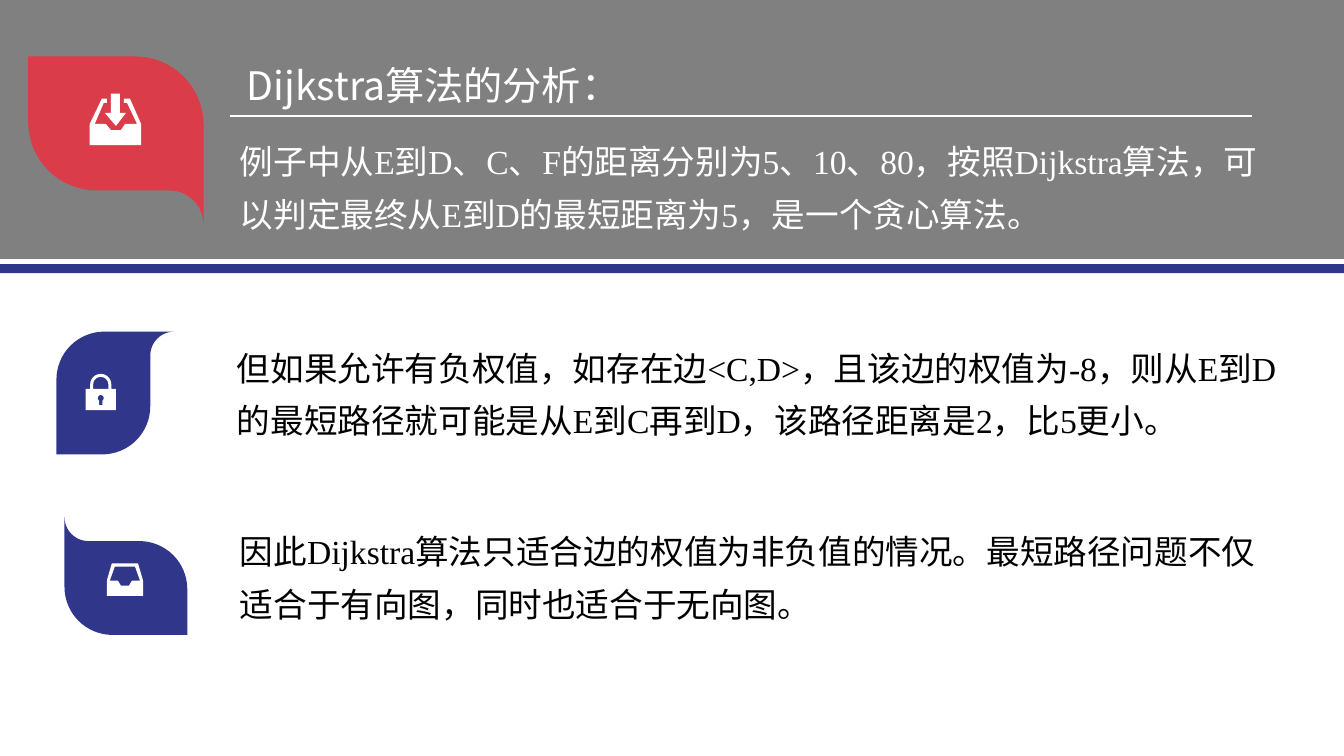
import math

import lxml.etree
import pptx
import pptx.dml.color
import pptx.enum.shapes
import pptx.enum.text
import pptx.oxml.ns
import pptx.util

SLIDE_WIDTH = pptx.util.Inches(13.333)
SLIDE_HEIGHT = pptx.util.Inches(7.5)
CELL = SLIDE_HEIGHT / 75
COLUMNS = SLIDE_WIDTH / CELL

GREY, BLUE, RED = "808080", "303689", "DA3C49"
WHITE, BLACK = "FFFFFF", "000000"
SANS, SERIF = "Noto Sans CJK SC", "Times New Roman"

HEADING = "Dijkstra算法的分析："
EXAMPLE = "例子中从E到D、C、F的距离分别为5、10、80，按照Dijkstra算法，可以判定最终从E到D的最短距离为5，是一个贪心算法。"
NEGATIVE_EDGE = "但如果允许有负权值，如存在边<C,D>，且该边的权值为-8，则从E到D的最短路径就可能是从E到C再到D，该路径距离是2，比5更小。"
CONCLUSION = "因此Dijkstra算法只适合边的权值为非负值的情况。最短路径问题不仅适合于有向图，同时也适合于无向图。"


def cells(*counts):
    return [pptx.util.Emu(round(count * CELL)) for count in counts]


def color(hex_string):
    return pptx.dml.color.RGBColor.from_string(hex_string)


def paint(shape, fill):
    shape.shadow.inherit = False
    shape.fill.solid()
    shape.fill.fore_color.rgb = color(fill)
    shape.line.fill.background()


def arc(x, y, radius, start, end, steps=16):
    angles = [math.radians(start + (end - start) * i / steps) for i in range(steps + 1)]
    return [(x + radius * math.cos(a), y + radius * math.sin(a)) for a in angles]


LEAF_WIDTH, LEAF_HEIGHT = 17.4, 16.7
LEAF = [(0, 0), *arc(10.6, 6.8, 6.8, -90, 0), *arc(14, 16.7, 3.4, 0, -90),
        *arc(6.8, 6.5, 6.8, 90, 180)]
DOWNLOAD = [
    [(3, 1.9), (3, 0), (2.1, 0), (2.1, 1.9), (1.5, 1.9), (2.6, 3.2), (3.6, 1.9)],
    [(4, 0.5), (3.4, 0.5), (3.4, 0.9), (3.7, 0.9), (4.7, 3), (3.5, 3), (3.1, 3.6),
     (2.1, 3.6), (1.6, 3), (0.5, 3), (1.4, 0.9), (1.7, 0.9), (1.7, 0.5), (1.2, 0.5),
     (0, 3), (0, 5.1), (5.1, 5.1), (5.1, 3)],
]
LOCK = [
    [(0, 3.6), (0, 1.5), (0.45, 1.5), *arc(1.5, 1.05, 1.05, 180, 360),
     (2.55, 1.5), (3, 1.5), (3, 3.6)],
    [(0.75, 1.5), *arc(1.5, 1.05, 0.75, 180, 360), (2.25, 1.5)],
    [(1.35, 3.1), *arc(1.5, 2.4, 0.3, 120, 420), (1.65, 3.1)],
]
TRAY = [
    [(0.5, 0), (3.1, 0), (3.6, 1.7), (3.6, 3.2), (0, 3.2), (0, 1.7)],
    [(0.8, 0.3), (2.8, 0.3), (3.3, 1.7), (2.5, 1.7), (2.2, 2.2), (1.4, 2.2),
     (1.1, 1.7), (0.3, 1.7)],
]


def draw_outline(slide, left, top, contours, fill):
    placed = [[cells(left + x, top + y) for x, y in contour] for contour in contours]
    builder = slide.shapes.build_freeform(*placed[0][0])
    for index, contour in enumerate(placed):
        if index:
            builder.move_to(*contour[0])
        builder.add_line_segments(contour[1:], close=True)
    paint(builder.convert_to_shape(), fill)


def draw_leaf(slide, left, top, scale, quarter_turns, fill, icon, icon_offset):
    points = [(x - LEAF_WIDTH / 2, y - LEAF_HEIGHT / 2) for x, y in LEAF]
    for _ in range(quarter_turns):
        points = [(y, -x) for x, y in points]
    min_x = min(x for x, y in points)
    min_y = min(y for x, y in points)
    outline = [((x - min_x) * scale, (y - min_y) * scale) for x, y in points]
    draw_outline(slide, left, top, [outline], fill)
    draw_outline(slide, left + icon_offset[0], top + icon_offset[1], icon, WHITE)


def write_text(placeholder, box, wording, size, font_name, ink):
    placeholder.left, placeholder.top, placeholder.width, placeholder.height = cells(*box)
    frame = placeholder.text_frame
    frame.text = wording
    frame.word_wrap = True
    frame.auto_size = pptx.enum.text.MSO_AUTO_SIZE.NONE
    frame.vertical_anchor = pptx.enum.text.MSO_ANCHOR.TOP
    paragraph = frame.paragraphs[0]
    paragraph.alignment = pptx.enum.text.PP_ALIGN.LEFT
    paragraph.line_spacing = 1.3
    paragraph.space_before = pptx.util.Pt(0)
    properties = paragraph._p.get_or_add_pPr()
    properties.set("marL", "0")
    properties.set("indent", "0")
    lxml.etree.SubElement(properties, pptx.oxml.ns.qn("a:buNone"))
    run = paragraph.runs[0]
    run.font.size = pptx.util.Pt(size)
    run.font.bold = False
    run.font.name = font_name
    run.font.color.rgb = color(ink)
    east_asian = lxml.etree.SubElement(run._r.get_or_add_rPr(), pptx.oxml.ns.qn("a:ea"))
    east_asian.set("typeface", SANS)


def add_bar(slide, box, fill):
    bar = slide.shapes.add_shape(pptx.enum.shapes.MSO_SHAPE.RECTANGLE, *cells(*box))
    paint(bar, fill)
    return bar


def build_header(slide, box, heading, example):
    left, top, width, height = box
    band = add_bar(slide, box, GREY)
    heading.element.addprevious(band.element)
    write_text(heading, (left + 23.5, top + 4.2, 72.5, 7.3), HEADING, 28, SANS, WHITE)
    write_text(example, (left + 22.8, top + 12.3, 105.7, 13.4), EXAMPLE, 24, SERIF, WHITE)
    draw_leaf(slide, left + 2.8, top + 5.6, 1, 0, RED, DOWNLOAD, (6.1, 3.7))
    rule = slide.shapes.add_connector(
        pptx.enum.shapes.MSO_CONNECTOR.STRAIGHT,
        *cells(left + 22.8, top + 11.5, left + 124.2, top + 11.5))
    rule.line.color.rgb = color(WHITE)
    rule.line.width = pptx.util.Pt(1)
    lxml.etree.SubElement(rule._element.spPr, pptx.oxml.ns.qn("a:effectLst"))
    add_bar(slide, (left, top + height + 0.5, width, 0.9), BLUE)


def build_point(slide, box, body, wording, leaf_place, quarter_turns, icon, icon_offset):
    write_text(body, box, wording, 24, SERIF, BLACK)
    draw_leaf(slide, box[0] + leaf_place[0], box[1] + leaf_place[1], 0.7,
              quarter_turns, BLUE, icon, icon_offset)


def main():
    deck = pptx.Presentation()
    deck.slide_width, deck.slide_height = SLIDE_WIDTH, SLIDE_HEIGHT
    slide = deck.slides.add_slide(deck.slide_layouts.get_by_name("Comparison"))
    heading, example, negative_edge, conclusion, spare = list(slide.placeholders)
    spare.element.getparent().remove(spare.element)
    build_header(slide, (0, 0, COLUMNS, 25.7), heading, example)
    build_point(slide, (22.5, 32.8, 105.7, 14.5), negative_edge, NEGATIVE_EDGE,
                (-16.9, 0.1), 1, LOCK, (2.9, 4.2))
    build_point(slide, (22.8, 51, 105.7, 16.3), conclusion, CONCLUSION,
                (-16.4, 0.3), 2, TRAY, (4.2, 4.6))
    deck.save("out.pptx")


if __name__ == "__main__":
    main()
